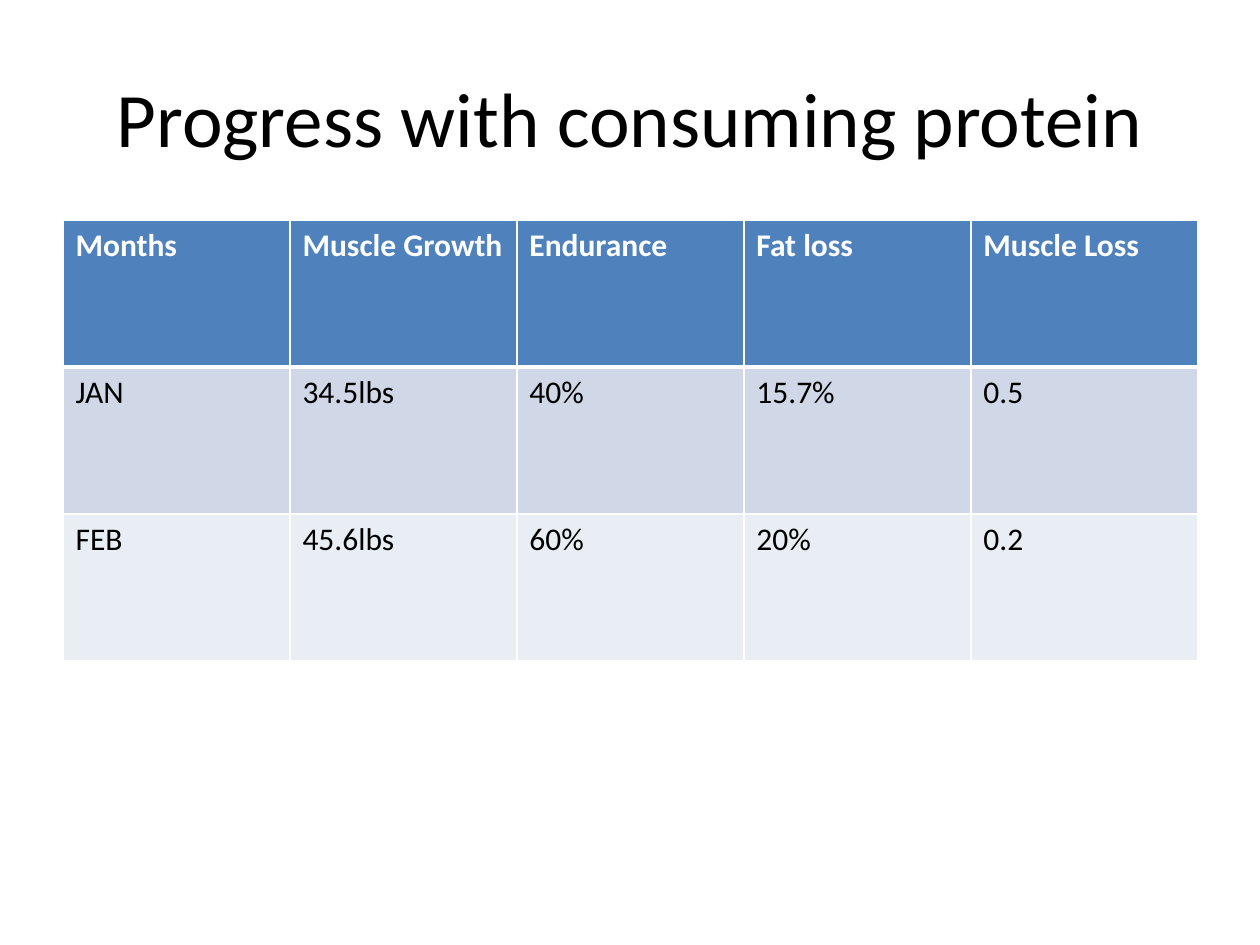
from lxml import etree
from pptx import Presentation
from pptx import util as u
from pptx.dml.color import RGBColor
from pptx.enum import text
from pptx.oxml.ns import qn

PX = u.Inches(1) // 126
FONT = "Calibri"
WHITE = RGBColor(0xFF, 0xFF, 0xFF)
BLACK = RGBColor(0, 0, 0)
HEADER = RGBColor(0x4F, 0x81, 0xBD)
BANDS = [RGBColor(0xE9, 0xED, 0xF4), RGBColor(0xD0, 0xD8, 0xE8)]
ROWS = [
    ["Months", "Muscle Growth", "Endurance", "Fat loss", "Muscle Loss"],
    ["JAN", "34.5lbs", "40%", "15.7%", "0.5"],
    ["FEB", "45.6lbs", "60%", "20%", "0.2"],
]
COL_W, ROW_H = 227, 147


def style_run(r, size, color, bold=False):
    """Set the font of a run."""
    r.font.name = FONT
    r.font.size = u.Pt(size)
    r.font.bold = bold
    r.font.color.rgb = color


def add_border(cell, side, width):
    """Draw one white border of a cell, width in points."""
    ln = etree.SubElement(cell._tc.get_or_add_tcPr(), qn("a:" + side),
                          w=str(u.Pt(width)))
    fill = etree.SubElement(ln, qn("a:solidFill"))
    etree.SubElement(fill, qn("a:srgbClr"), val=str(WHITE))


prs = Presentation()
prs.slide_width, prs.slide_height = 1260 * PX, 945 * PX
s = prs.slides.add_slide(prs.slide_layouts[5])

title = s.shapes.title
title.left, title.top, title.width, title.height = (
    v * PX for v in (63, 38, 1134, 157))
tf = title.text_frame
tf.text = "Progress with consuming protein"
tf.vertical_anchor = text.MSO_ANCHOR.MIDDLE
p = tf.paragraphs[0]
p.alignment = text.PP_ALIGN.CENTER
style_run(p.runs[0], 44, BLACK)

table = s.shapes.add_table(len(ROWS), len(ROWS[0]), 63 * PX, 220 * PX,
                           COL_W * len(ROWS[0]) * PX,
                           ROW_H * len(ROWS) * PX).table
for col in table.columns:
    col.width = COL_W * PX
for i, values in enumerate(ROWS):
    table.rows[i].height = ROW_H * PX
    is_header = i == 0
    for j, value in enumerate(values):
        cell = table.cell(i, j)
        for side in ("lnL", "lnR", "lnT", "lnB"):
            thick = (i, side) in ((0, "lnB"), (1, "lnT"))
            add_border(cell, side, 3 if thick else 1)
        cell.fill.solid()
        cell.fill.fore_color.rgb = HEADER if is_header else BANDS[i % 2]
        cell.text_frame.text = value
        style_run(cell.text_frame.paragraphs[0].runs[0], 18,
                  WHITE if is_header else BLACK, is_header)

prs.save("out.pptx")
